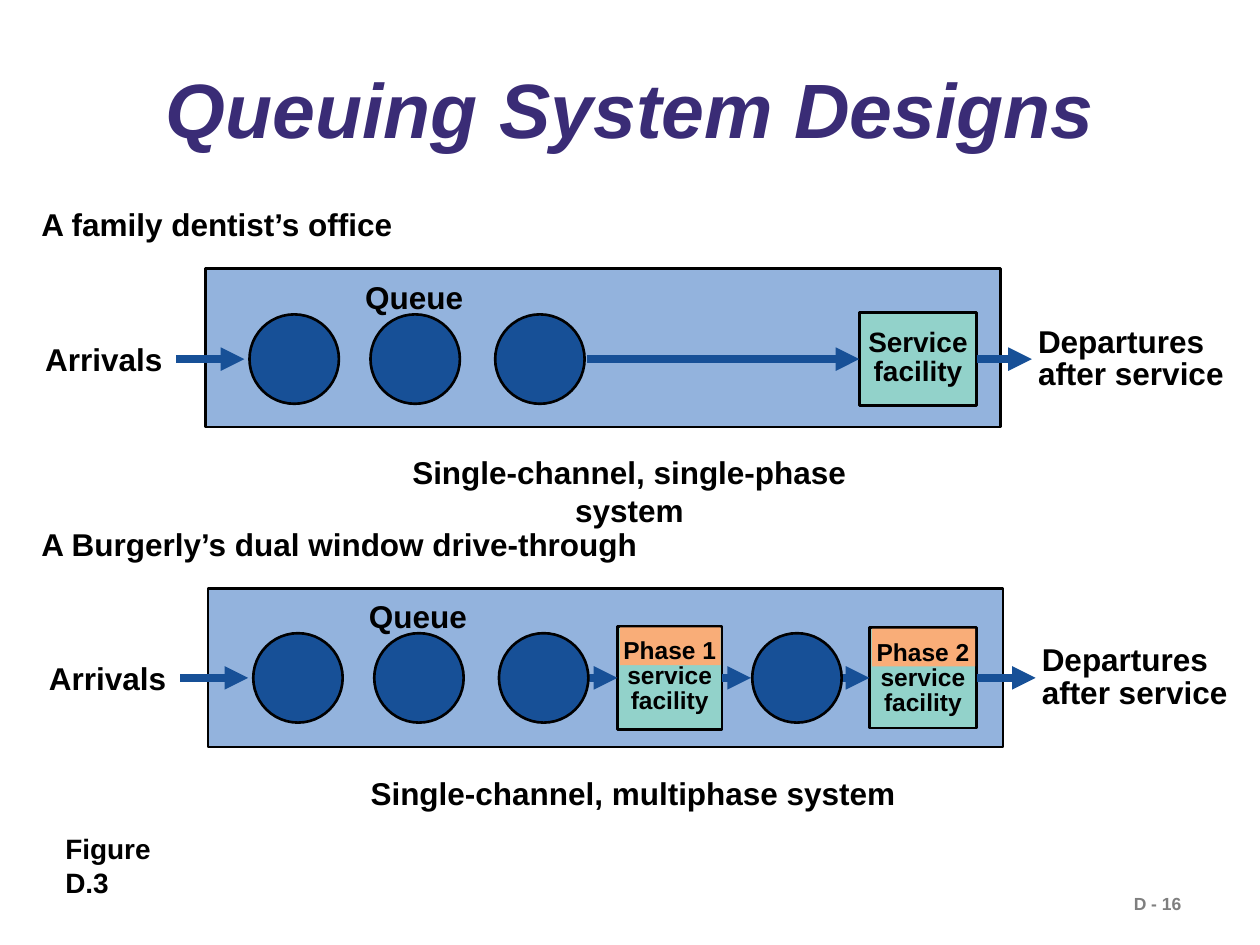
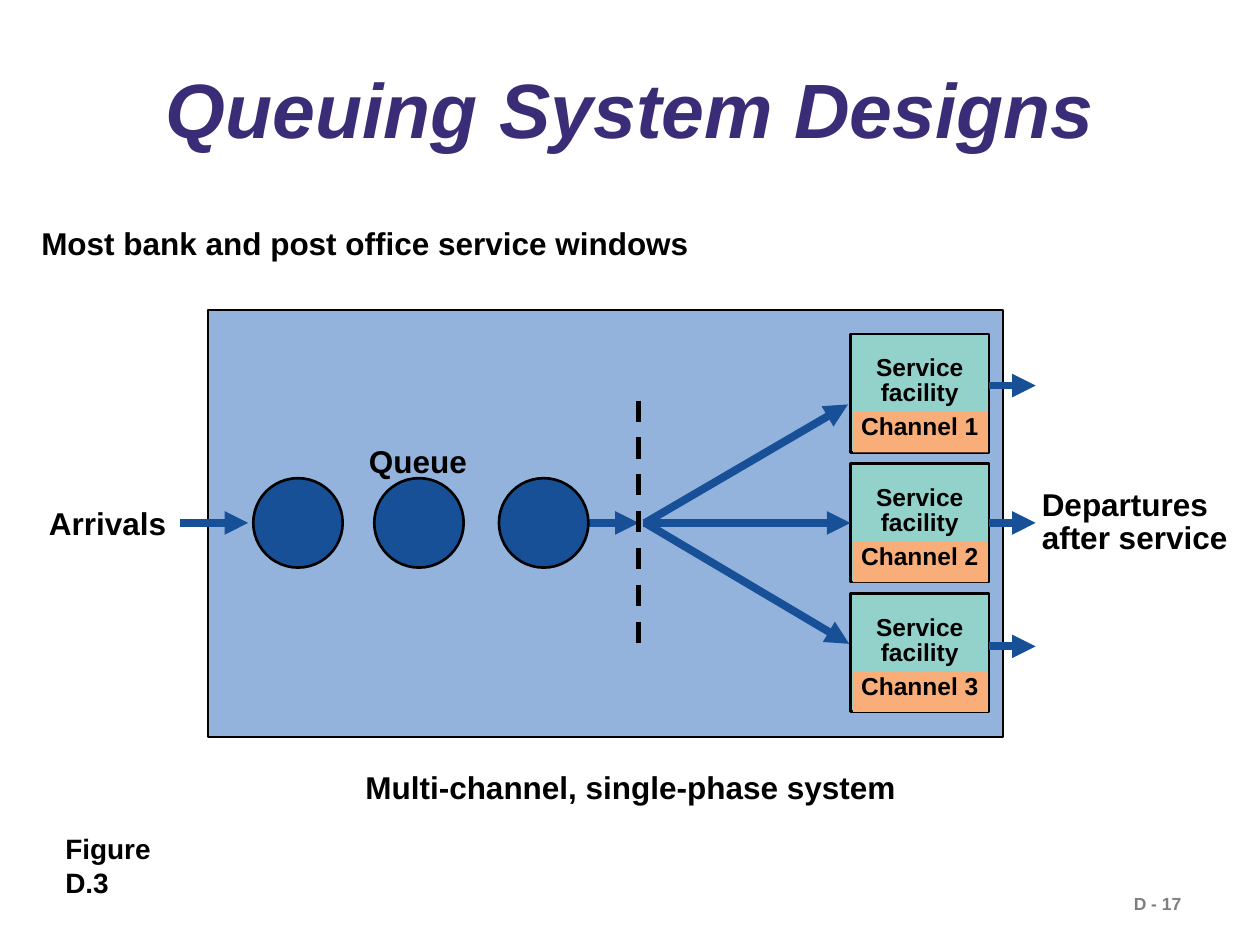
"""Build two slides that show queuing system designs as flow diagrams."""
from lxml.etree import SubElement
from pptx import Presentation
from pptx.dml.color import RGBColor
from pptx.enum.dml import MSO_LINE
from pptx.enum.shapes import MSO_CONNECTOR, MSO_SHAPE
from pptx.enum.text import MSO_ANCHOR, PP_ALIGN
from pptx.oxml.ns import qn
from pptx.util import Emu, Pt

PX = 9144
FONT = "Arial"
BLACK = RGBColor(0x00, 0x00, 0x00)
GRAY = RGBColor(0x7F, 0x7F, 0x7F)
PURPLE = RGBColor(0x3A, 0x2C, 0x76)
PANEL_BLUE = RGBColor(0x93, 0xB3, 0xDD)
FLOW_BLUE = RGBColor(0x17, 0x50, 0x97)
TEAL = RGBColor(0x92, 0xD2, 0xCA)
ORANGE = RGBColor(0xF9, 0xAD, 0x78)

TITLE = "Queuing System Designs"
FIGURE = "Figure D.3"
DEPARTURES = ["Departures", "after service"]
QUEUE = [201, 297, 396]
CIRCLE = 71
ARRIVAL_LINK = (143, 197)
DEPARTURE_END = 822
CHANNEL_TOPS = [265, 368, 471]

SERVICE = {"Service": {
    "box": (682, 248, 93, 74), "text": ["Service facility"],
    "size": 16, "text_drop": 9, "text_width": 109, "band": None}}
PHASES = {f"Phase {number}": {
    "box": box, "text": [f"Phase {number} service facility"],
    "size": 14, "text_drop": 6, "text_width": 109, "band": (1, 30)}
    for number, box in enumerate([(490, 497, 83, 82), (690, 498, 85, 80)], 1)}
CHANNELS = {f"Channel {number}": {
    "box": (675, top, 110, 94), "text": ["Service facility", f"Channel {number}"],
    "size": 14, "text_drop": 13, "text_width": 116, "band": (62, 32)}
    for number, top in enumerate(CHANNEL_TOPS, 1)}

DENTIST = {
    "heading": ("A family dentist’s office", 23, 158, 300),
    "caption": ("Single-channel, single-phase system", 271, 355, 457),
    "panel": (163, 213, 631, 126), "axis": 285, "shift": -3,
    "circles": QUEUE, "stations": SERVICE,
    "links": [(469, "Service"), ("Service", DEPARTURE_END)],
    "branches": [], "divider": None}
DRIVE_THROUGH = {
    "heading": ("A Burgerly’s dual window drive-through", 23, 412, 511),
    "caption": ("Single-channel, multiphase system", 284, 609, 437),
    "panel": (165, 467, 631, 126), "axis": 538, "shift": 0,
    "circles": QUEUE + [597], "stations": PHASES,
    "links": [(435, "Phase 1"), ("Phase 1", 596), (633, "Phase 2"),
              ("Phase 2", DEPARTURE_END)],
    "branches": [], "divider": None}
BANK = {
    "heading": ("Most bank and post office service windows", 23, 173, 534),
    "caption": ("Multi-channel, single-phase system", 280, 605, 441),
    "panel": (165, 246, 631, 339), "axis": 415, "shift": 0,
    "circles": QUEUE, "stations": CHANNELS,
    "links": [(453, 507), (510, "Channel 2"), ("Channel 2", DEPARTURE_END)],
    "branches": [(512, 415, 673, 321), (512, 415, 674, 511),
                 (785, 306, DEPARTURE_END, 306), (785, 513, DEPARTURE_END, 513)],
    "divider": (507, 318, 507, 513)}

SLIDES = [("D - 16", [DENTIST, DRIVE_THROUGH]), ("D - 17", [BANK])]


def px(*lengths):
    return [Emu(round(length * PX)) for length in lengths]


def format_text(text_frame, size, color, align, spacing, italic=False):
    for paragraph in text_frame.paragraphs:
        paragraph.alignment = align
        paragraph.line_spacing = spacing
        for run in paragraph.runs:
            run.font.name = FONT
            run.font.size = Pt(size)
            run.font.bold = True
            run.font.italic = italic
            run.font.color.rgb = color


def add_text(slide, lines, box, size=18, color=BLACK, align=PP_ALIGN.LEFT,
             spacing=1.0, wrap=False):
    text_frame = slide.shapes.add_textbox(*px(*box)).text_frame
    text_frame.word_wrap = wrap
    text_frame.text = "\n".join(lines)
    format_text(text_frame, size, color, align, spacing)
    return text_frame


def add_block(slide, kind, box, color, outlined=True):
    shape = slide.shapes.add_shape(kind, *px(*box))
    shape.shadow.inherit = False
    shape.fill.solid()
    shape.fill.fore_color.rgb = color
    if outlined:
        shape.line.color.rgb = BLACK
        shape.line.width = Pt(1.5)
    else:
        shape.line.fill.background()
    return shape


def add_line(slide, ends, color, width):
    connector = slide.shapes.add_connector(MSO_CONNECTOR.STRAIGHT, *px(*ends))
    connector.line.color.rgb = color
    connector.line.width = Pt(width)
    SubElement(connector._element.spPr, qn("a:effectLst"))
    return connector


def add_arrow(slide, ends):
    connector = add_line(slide, ends, FLOW_BLUE, 4.5)
    SubElement(connector.line._get_or_add_ln(), qn("a:tailEnd"), type="triangle")
    return connector


def add_link(slide, start, end, axis, shift, boxes):
    xs = [0 if point in boxes else point + shift for point in (start, end)]
    connector = add_arrow(slide, (xs[0], axis, xs[1], axis))
    if start in boxes:
        connector.begin_connect(boxes[start], 3)
    if end in boxes:
        connector.end_connect(boxes[end], 1)


def add_station_text(slide, station):
    left, top, width, height = station["box"]
    if station["band"]:
        drop, band_height = station["band"]
        add_block(slide, MSO_SHAPE.RECTANGLE,
                  (left + 2, top + drop, width - 3, band_height), ORANGE, False)
    text_width = station["text_width"]
    text_left = left + (width - text_width) / 2
    text_frame = add_text(
        slide, station["text"],
        (text_left, top + station["text_drop"], text_width, height - 18),
        station["size"], align=PP_ALIGN.CENTER, spacing=0.85, wrap=True)
    for paragraph in text_frame.paragraphs[:-1]:
        paragraph.space_after = Pt(5.2)


def add_system(slide, system):
    axis, shift, stations = system["axis"], system["shift"], system["stations"]
    add_block(slide, MSO_SHAPE.RECTANGLE, system["panel"], PANEL_BLUE)
    boxes = {name: add_block(slide, MSO_SHAPE.RECTANGLE, station["box"], TEAL)
             for name, station in stations.items()}
    for start, end in [ARRIVAL_LINK] + system["links"]:
        add_link(slide, start, end, axis, shift, boxes)
    for ends in system["branches"]:
        add_arrow(slide, ends)
    if system["divider"]:
        divider = add_line(slide, system["divider"], BLACK, 3)
        divider.line.dash_style = MSO_LINE.DASH
    for left in system["circles"]:
        add_block(slide, MSO_SHAPE.OVAL,
                  (left + shift, axis - CIRCLE / 2, CIRCLE, CIRCLE), FLOW_BLUE)
    for station in stations.values():
        add_station_text(slide, station)
    add_text(slide, ["Arrivals"], (29 + shift, axis - 20, 113, 40))
    add_text(slide, ["Queue"], (283 + shift, axis - 69, 98, 40))
    add_text(slide, DEPARTURES, (817 + shift, axis - 30, 167, 61), spacing=0.85)
    for part, align in (("heading", PP_ALIGN.LEFT), ("caption", PP_ALIGN.CENTER)):
        text, left, top, width = system[part]
        add_text(slide, [text], (left, top, width, 40), align=align)


def add_frame(slide, page):
    title = slide.shapes.title
    title.left, title.top, title.width, title.height = px(58, 38, 885, 104)
    title.text_frame.text = TITLE
    title.text_frame.vertical_anchor = MSO_ANCHOR.MIDDLE
    format_text(title.text_frame, 44, PURPLE, PP_ALIGN.CENTER, 0.9, italic=True)
    add_text(slide, [FIGURE], (42, 655, 128, 37), 16)
    add_text(slide, [page], (890, 704, 109, 27), 10, GRAY, wrap=True)


def main():
    presentation = Presentation()
    presentation.slide_width, presentation.slide_height = px(1000, 750)
    for page, systems in SLIDES:
        slide = presentation.slides.add_slide(presentation.slide_layouts[5])
        add_frame(slide, page)
        for system in systems:
            add_system(slide, system)
    presentation.save("out.pptx")


if __name__ == "__main__":
    main()
